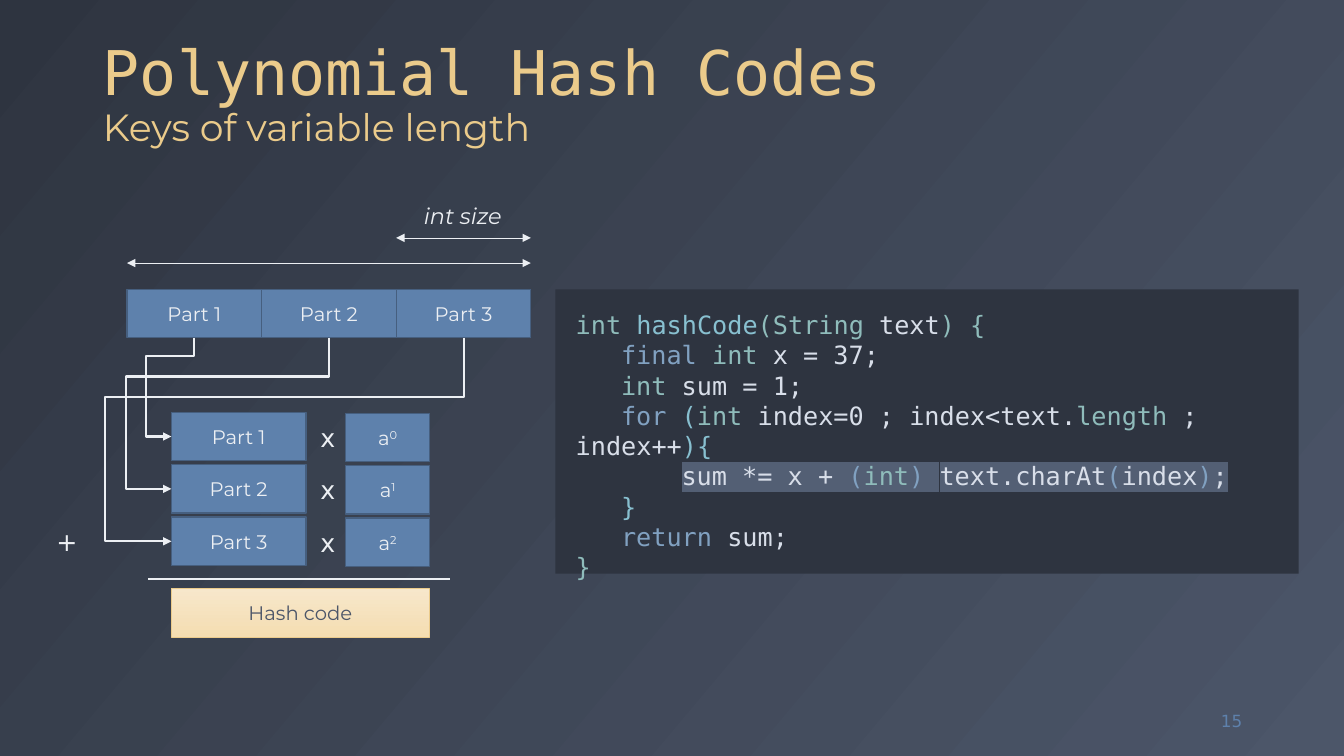
from lxml.etree import SubElement
from pptx import Presentation
from pptx.dml.color import RGBColor
from pptx.enum.dml import MSO_LINE
from pptx.enum.shapes import MSO_CONNECTOR, MSO_SHAPE
from pptx.enum.text import MSO_ANCHOR, PP_ALIGN
from pptx.oxml.ns import qn
from pptx.util import Inches, Pt

SANS, MONO, BODY = "DejaVu Sans", "DejaVu Sans Mono", "Montserrat"
SNOW, BLUE, EDGE, GOLD, NIGHT, SLATE = "ECEFF3", "5E81AC", "465F7F", "EBCB8B", "2E3440", "4C5669"
TYPE, CALL, KEYWORD, PLAIN, MARK = "8FBCBB", "88C0D0", "81A1C1", "D8DEE9", "535F74"
PARTS = ["Part 1", "Part 2", "Part 3"]
CODE = [
    (0, None, [("int ", TYPE), ("hashCode", CALL), ("(String ", TYPE), ("text", PLAIN), (") {", TYPE)]),
    (3, None, [("final ", KEYWORD), ("int ", TYPE), ("x = 37;", PLAIN)]),
    (3, None, [("int ", TYPE), ("sum = 1;", PLAIN)]),
    (3, None, [("for ", KEYWORD), ("(", CALL), ("int ", TYPE), ("index=0 ; index<text.", PLAIN),
               ("length ", TYPE), ("; index++", PLAIN), ("){", CALL)]),
    (7, MARK, [("sum *= x + ", PLAIN), ("(", KEYWORD), ("int", TYPE), (") ", KEYWORD),
               ("text.charAt", PLAIN), ("(", KEYWORD), ("index", PLAIN), (")", KEYWORD), (";", PLAIN)]),
    (3, None, [("}", CALL)]),
    (3, None, [("return ", KEYWORD), ("sum;", PLAIN)]),
    (0, None, [("}", TYPE)]),
]
CHARACTER = 0.15
KEY_LEFT, KEY_TOP, BOX_WIDTH, BOX_HEIGHT = 1.26, 2.87, 1.335, 0.48
KEY_RIGHT = KEY_LEFT + len(PARTS) * BOX_WIDTH
TERM_LEFT, TERM_TOP, TERM_STEP = 1.7, 4.09, 0.52
POWER_LEFT, POWER_WIDTH = 3.43, 0.83
LANE_DROP, LANE_LEFT, LANE_STEP = 0.18, 1.45, 0.205


def color(value):
    """Turn a hex string into a colour."""
    return RGBColor.from_string(value)


def add_run(paragraph, text, size, font, fill, highlight=None):
    """Add one formatted run, with an optional highlight."""
    run = paragraph.add_run()
    run.text = text
    run.font.size = Pt(size)
    run.font.color.rgb = color(fill)
    if highlight:
        mark = SubElement(run.font._element, qn("a:highlight"))
        SubElement(mark, qn("a:srgbClr"), val=highlight)
    run.font.name = font
    return run


def set_gradient(fill, first, last, angle):
    """Apply a two-stop linear gradient."""
    fill.gradient()
    fill.gradient_angle = angle
    for stop, value in zip(fill.gradient_stops, (first, last)):
        stop.color.rgb = color(value)


def add_box(slide, left, top, width, height, fill=BLUE, edge=EDGE, weight=1):
    """Add a rectangle without a shadow; no edge colour means no line."""
    shape = slide.shapes.add_shape(MSO_SHAPE.RECTANGLE, *map(Inches, (left, top, width, height)))
    shape.shadow.inherit = False
    shape.fill.solid()
    shape.fill.fore_color.rgb = color(fill)
    if edge:
        shape.line.color.rgb = color(edge)
        shape.line.width = Pt(weight)
    else:
        shape.line.fill.background()
    shape.text_frame.vertical_anchor = MSO_ANCHOR.MIDDLE
    shape.text_frame.paragraphs[0].alignment = PP_ALIGN.CENTER
    return shape


def add_label(slide, text, left, top, width, height, size=18, font=SANS, fill=SNOW, align=PP_ALIGN.LEFT):
    """Add a one-line text box and return its run."""
    frame = slide.shapes.add_textbox(*map(Inches, (left, top, width, height))).text_frame
    frame.word_wrap = False
    frame.paragraphs[0].alignment = align
    return add_run(frame.paragraphs[0], text, size, font, fill)


def add_line(slide, kind, start, end, weight, heads=()):
    """Add a connector with arrowheads at the named ends."""
    connector = slide.shapes.add_connector(kind, *map(Inches, start + end))
    connector.line.color.rgb = color(SNOW)
    connector.line.width = Pt(weight)
    connector.line.dash_style = MSO_LINE.SOLID
    for head in heads:
        SubElement(connector.line._ln, qn("a:" + head), type="triangle")
    SubElement(connector._element.spPr, qn("a:effectLst"))
    return connector


def add_route(slide, source, target, lane):
    """Lead from below a source, round the left, into a target."""
    start_x, start_y = source.left + source.width // 2, source.top + source.height
    end_x, end_y = target.left, target.top + target.height // 2
    route = add_line(slide, MSO_CONNECTOR.ELBOW, (0, 0), (1, 1), 1.5, ["tailEnd"])
    route.begin_connect(source, 2)
    route.end_connect(target, 1)
    run, rise = end_y - start_y, start_x - end_x
    route.width, route.height = run, rise
    route.left, route.top = (start_x + end_x - run) // 2, (start_y + end_y - rise) // 2
    frame = route._element.spPr.find(qn("a:xfrm"))
    frame.attrib.pop("flipH", None)
    frame.attrib.pop("flipV", None)
    frame.set("rot", "5400000")
    geometry = route._element.spPr.find(qn("a:prstGeom"))
    geometry.set("prst", "bentConnector4")
    drop = Inches(LANE_DROP + lane * LANE_STEP)
    reach = start_x - Inches(LANE_LEFT - lane * LANE_STEP)
    guides = geometry.find(qn("a:avLst"))
    for name, share in (("adj1", drop / run), ("adj2", reach / rise)):
        SubElement(guides, qn("a:gd"), name=name, fmla=f"val {round(share * 100000)}")


def add_title(slide):
    """Fill the title placeholder with heading and subheading."""
    title = slide.shapes.title
    title.left, title.top, title.width, title.height = map(Inches, (0.92, 0.18, 11.5, 1.36))
    title.text_frame.vertical_anchor = MSO_ANCHOR.BOTTOM
    paragraph = title.text_frame.paragraphs[0]
    paragraph.alignment = PP_ALIGN.LEFT
    paragraph.line_spacing = 0.9
    add_run(paragraph, "Polynomial Hash Codes", 44, MONO, GOLD)
    paragraph.add_line_break()
    add_run(paragraph, "Keys of variable length", 27, BODY, GOLD)


def add_diagram(slide):
    """Draw the key, its weighted parts and their sum."""
    for index, part in enumerate(PARTS):
        top = TERM_TOP + index * TERM_STEP
        source = add_box(slide, KEY_LEFT + index * BOX_WIDTH, KEY_TOP, BOX_WIDTH, BOX_HEIGHT)
        target = add_box(slide, TERM_LEFT, top, BOX_WIDTH, BOX_HEIGHT)
        for box in (source, target):
            add_run(box.text_frame.paragraphs[0], part, 14, BODY, SNOW)
        power = add_box(slide, POWER_LEFT, top + 0.01, POWER_WIDTH, BOX_HEIGHT).text_frame.paragraphs[0]
        add_run(power, "a", 14, BODY, SNOW)
        add_run(power, str(index), 14, BODY, SNOW).font._element.set("baseline", "30000")
        add_label(slide, "x", 3.08, top + 0.05, 0.35, 0.4)
        add_route(slide, source, target, index)
    for left, top in ((KEY_LEFT, 2.61), (KEY_RIGHT - BOX_WIDTH, 2.36)):
        add_line(slide, MSO_CONNECTOR.STRAIGHT, (left, top), (KEY_RIGHT, top), 0.5, ["headEnd", "tailEnd"])
    add_label(slide, "int size", 4.09, 1.96, 1, 0.37, 16, BODY, align=PP_ALIGN.CENTER).font.italic = True
    add_label(slide, "+", 0.46, 5.17, 0.41, 0.4)
    add_line(slide, MSO_CONNECTOR.STRAIGHT, (1.47, 5.74), (4.46, 5.74), 1.5)
    total = add_box(slide, TERM_LEFT, 5.84, POWER_LEFT + POWER_WIDTH - TERM_LEFT, BOX_HEIGHT, GOLD, GOLD, 0.5)
    set_gradient(total.fill, "F7E7CB", "F4DDB1", 270)
    add_run(total.text_frame.paragraphs[0], "Hash code", 14, BODY, SLATE)


def add_code(slide):
    """Draw the code panel with its coloured listing."""
    frame = add_box(slide, 5.51, KEY_TOP, 7.37, 2.82, NIGHT, None).text_frame
    frame.word_wrap = True
    frame.vertical_anchor = MSO_ANCHOR.TOP
    frame.margin_left = frame.margin_right = frame.margin_top = frame.margin_bottom = Inches(0.2)
    for number, (indent, highlight, runs) in enumerate(CODE):
        paragraph = frame.add_paragraph() if number else frame.paragraphs[0]
        paragraph.alignment = PP_ALIGN.LEFT
        paragraph.line_spacing = Pt(21.6)
        paragraph._p.get_or_add_pPr().set("indent", str(Inches(indent * CHARACTER)))
        for text, fill in runs:
            add_run(paragraph, text, 18, MONO, fill, highlight)


def main():
    """Build and save the slide."""
    presentation = Presentation()
    presentation.slide_width, presentation.slide_height = Inches(13.33), Inches(7.5)
    slide = presentation.slides.add_slide(presentation.slide_layouts[5])
    set_gradient(slide.background.fill, NIGHT, SLATE, 320)
    add_title(slide)
    add_label(slide, "15", 11.59, 7.0, 0.83, 0.3, 12, SANS, BLUE, PP_ALIGN.RIGHT)
    add_diagram(slide)
    add_code(slide)
    presentation.save("out.pptx")


if __name__ == "__main__":
    main()
